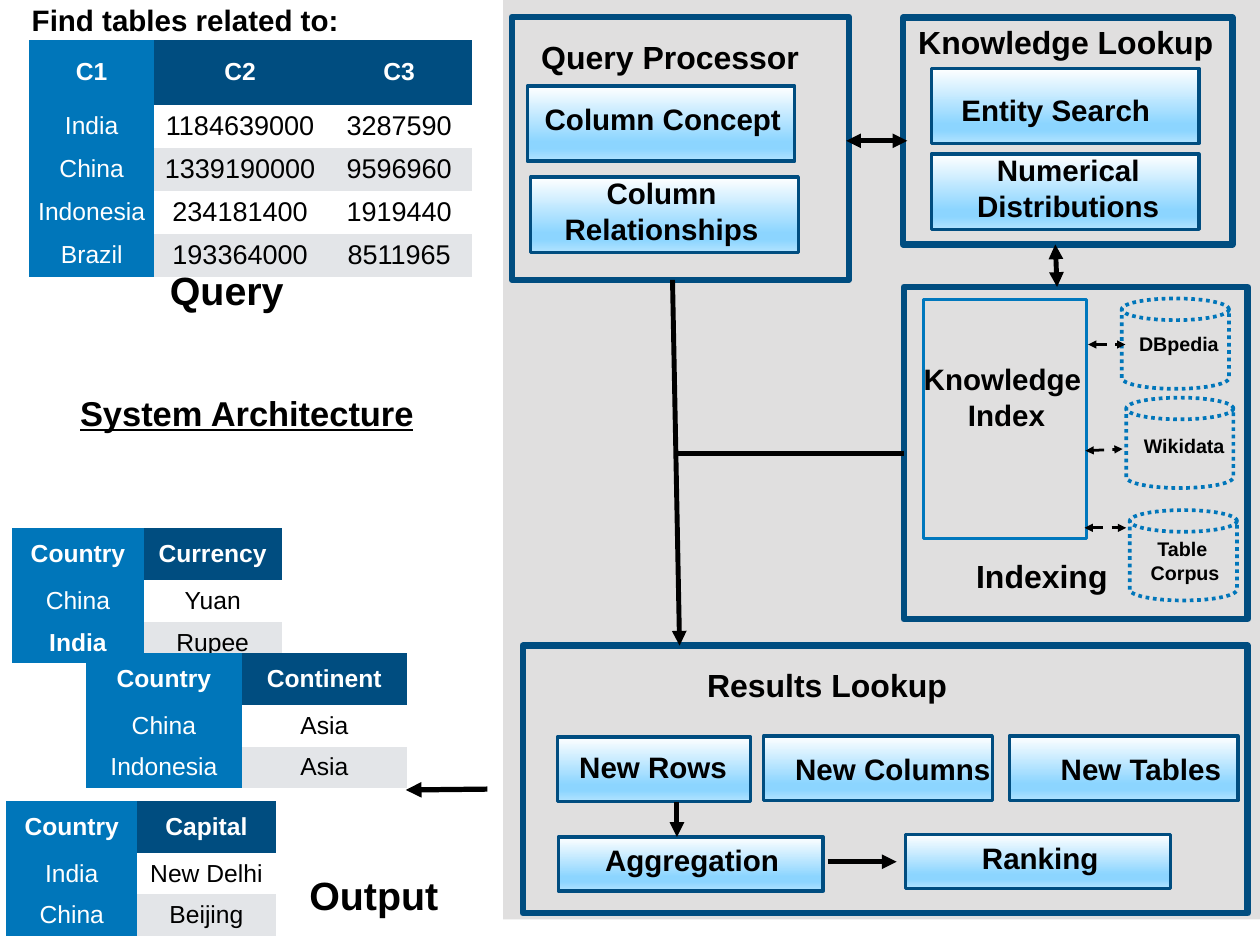
from copy import deepcopy
from typing import NamedTuple

from lxml.etree import SubElement
from pptx import Presentation
from pptx.dml.color import RGBColor
from pptx.enum.dml import MSO_LINE
from pptx.enum.shapes import MSO_CONNECTOR, MSO_SHAPE
from pptx.enum.text import MSO_ANCHOR as Anchor, PP_ALIGN as Align
from pptx.oxml.ns import qn
from pptx.util import Inches, Pt

NAVY, BLUE, INDEX_BLUE = "004D80", "0076BA", "0078BD"
BLACK, WHITE, BAND, PANEL = "000000", "FFFFFF", "E3E5E8", "D6D5D5"
STEP_GRADIENT = [(0, WHITE), (0.74, "8CD5FF"), (0.83, "8CD5FF"), (1, "B2E3FF")]
NO_TABLE_STYLE = "{2D5ABB26-0587-4C30-8999-92F81FD0307C}"


class Area(NamedTuple):
    left: float
    top: float
    width: float
    height: float


class Label(NamedTuple):
    text: str
    area: Area
    size: int = 24
    underline: bool = False
    wrap: bool = True
    inset: float = 0.06


class Arrow(NamedTuple):
    start: tuple[float, float]
    end: tuple[float, float]
    width: float = 4
    heads: tuple[str, ...] = ("tailEnd",)
    dashed: bool = False


class Grid(NamedTuple):
    left: float
    top: float
    columns: list[float]
    header_height: float
    row_height: float
    rows: list[list[str]]
    value_size: int = 20
    bold_key: str = ""


GROUP_FRAMES = [
    Area(5.78, 0.19, 3.8, 2.97),
    Area(10.19, 0.2, 3.72, 2.56),
    Area(10.2, 3.24, 3.88, 3.75),
    Area(5.9, 7.29, 8.18, 3.02),
]
KNOWLEDGE_INDEX = Area(10.42, 3.38, 1.84, 2.7)
STEPS = [
    Area(5.95, 0.97, 3.02, 0.85),
    Area(5.99, 2, 3.02, 0.85),
    Area(10.51, 0.77, 3.02, 0.85),
    Area(10.51, 1.74, 3.02, 0.85),
    Area(6.29, 8.32, 2.18, 0.73),
    Area(8.62, 8.31, 2.58, 0.73),
    Area(11.39, 8.31, 2.58, 0.73),
    Area(6.3, 9.45, 2.99, 0.61),
    Area(10.22, 9.42, 2.99, 0.61),
]
STORES = [Area(12.66, 3.37, 1.21, 1.02), Area(12.71, 4.49, 1.21, 1.02),
          Area(12.75, 5.76, 1.21, 1.02)]
LABELS = [
    Label("Find tables related to:", Area(0.29, -0.04, 3.6, 0.52), wrap=False),
    Label("Query", Area(0.94, 2.95, 3.24, 0.65), 32),
    Label("System Architecture", Area(0.58, 4.37, 4.41, 0.58), 28, underline=True),
    Label("Output", Area(2.99, 9.78, 2.46, 0.65), 32),
    Label("Query Processor", Area(5.67, 0.36, 3.79, 0.55), 26),
    Label("Column Concept", Area(6.04, 1.08, 2.88, 0.52)),
    Label("Column Relationships", Area(6.12, 1.92, 2.69, 0.92)),
    Label("Knowledge Lookup", Area(10.3, 0.2, 3.46, 0.55), 26),
    Label("Entity Search", Area(10.61, 0.98, 2.61, 0.52)),
    Label("Numerical Distributions", Area(10.75, 1.66, 2.61, 0.92)),
    Label("Indexing", Area(10.16, 6.22, 3.2, 0.55), 26),
    Label("Knowledge \nIndex", Area(10.33, 4.02, 2.06, 0.92)),
    Label("DBpedia", Area(12.75, 3.7, 1.11, 0.37), 16),
    Label("Wikidata", Area(12.8, 4.85, 1.13, 0.37), 16),
    Label("Table \nCorpus", Area(12.75, 6.01, 1.25, 0.64), 16),
    Label("Results Lookup", Area(7.54, 7.46, 3.59, 0.55), 26),
    Label("New Rows", Area(6.28, 8.4, 2.18, 0.52)),
    Label("New Columns", Area(8.87, 8.42, 2.41, 0.52)),
    Label("New Tables", Area(11.67, 8.42, 2.41, 0.52)),
    Label("Aggregation", Area(6.28, 9.45, 3.06, 0.52)),
    Label("Ranking", Area(10.21, 9.42, 3.06, 0.52)),
]
BOTH = ("headEnd", "tailEnd")
ARROWS = [
    Arrow((12.28, 3.89), (12.7, 3.89), 2.25, BOTH, dashed=True),
    Arrow((12.25, 5.09), (12.67, 5.07), 2.25, BOTH, dashed=True),
    Arrow((12.24, 5.96), (12.71, 5.96), 2.25, BOTH, dashed=True),
    Arrow((9.55, 1.59), (10.24, 1.59), heads=BOTH),
    Arrow((11.93, 3.24), (11.91, 2.76), heads=BOTH),
    Arrow((7.59, 3.16), (7.67, 7.29)),
    Arrow((7.63, 5.12), (10.2, 5.12), heads=()),
    Arrow((7.64, 9.05), (7.64, 9.45)),
    Arrow((9.34, 9.73), (10.12, 9.73)),
    Arrow((5.5, 8.91), (4.58, 8.92), 4.25),
]
GRIDS = [
    Grid(0.33, 0.45, [1.41, 1.94, 1.65], 0.73, 0.41,
         [["C1", "C2", "C3"], ["India", "1184639000", "3287590"],
          ["China", "1339190000", "9596960"], ["Indonesia", "234181400", "1919440"],
          ["Brazil", "193364000", "8511965"]], value_size=22),
    Grid(0.14, 5.96, [1.48, 1.56], 0.59, 0.47,
         [["Country", "Currency"], ["China", "Yuan"], ["India", "Rupee"]],
         bold_key="India"),
    Grid(0.97, 7.37, [1.76, 1.86], 0.59, 0.47,
         [["Country", "Continent"], ["China", "Asia"], ["Indonesia", "Asia"]]),
    Grid(0.07, 9.04, [1.48, 1.56], 0.59, 0.47,
         [["Country", "Capital"], ["India", "New Delhi"], ["China", "Beijing"]]),
]


def rgb(color: str) -> RGBColor:
    return RGBColor.from_string(color)


def add_run(paragraph, text: str, size: int, color: str, bold: bool):
    paragraph.alignment = Align.CENTER
    run = paragraph.add_run()
    run.text = text
    run.font.name, run.font.size, run.font.bold = "Arial", Pt(size), bold
    run.font.color.rgb = rgb(color)
    return run


def set_insets(holder, inset: float) -> None:
    """Give a text frame or a table cell the same margin on each side."""
    holder.margin_left = holder.margin_right = Inches(inset)
    holder.margin_top = holder.margin_bottom = Inches(inset)
    holder.vertical_anchor = Anchor.MIDDLE


def add_outline(slide, area: Area, color: str, width: float, kind=MSO_SHAPE.RECTANGLE):
    outline = slide.shapes.add_shape(kind, *map(Inches, area))
    outline.shadow.inherit = False
    outline.fill.background()
    outline.line.color.rgb = rgb(color)
    outline.line.width = Pt(width)
    return outline


def add_panel(slide, area: Area) -> None:
    panel = add_outline(slide, area, PANEL, 1)
    panel.line.fill.background()
    panel.fill.solid()
    panel.fill.fore_color.rgb = rgb(PANEL)
    tint = panel.fill._xPr.find(".//" + qn("a:srgbClr"))
    SubElement(tint, qn("a:alpha"), val="74000")


def add_step(slide, area: Area) -> None:
    step = add_outline(slide, area, NAVY, 2.75)
    step.fill.gradient()
    step.fill.gradient_angle = 270
    stop_list = step._element.spPr.find(".//" + qn("a:gsLst"))
    while len(stop_list) < len(STEP_GRADIENT):
        stop_list.append(deepcopy(stop_list[0]))
    for stop, (position, color) in zip(step.fill.gradient_stops, STEP_GRADIENT):
        stop.position = position
        stop.color.rgb = rgb(color)


def add_store(slide, area: Area) -> None:
    store = add_outline(slide, area, BLUE, 3, MSO_SHAPE.CAN)
    store.adjustments[0] = 0.24
    store.line.dash_style = MSO_LINE.ROUND_DOT


def add_label(slide, label: Label) -> None:
    frame = slide.shapes.add_textbox(*map(Inches, label.area)).text_frame
    frame.word_wrap = label.wrap
    set_insets(frame, label.inset)
    for number, line in enumerate(label.text.split("\n")):
        paragraph = frame.add_paragraph() if number else frame.paragraphs[0]
        run = add_run(paragraph, line, label.size, BLACK, True)
        run.font.underline = label.underline


def add_arrow(slide, arrow: Arrow) -> None:
    link = slide.shapes.add_connector(
        MSO_CONNECTOR.STRAIGHT, *map(Inches, arrow.start + arrow.end))
    link.line.color.rgb = rgb(BLACK)
    link.line.width = Pt(arrow.width)
    if arrow.dashed:
        link.line.dash_style = MSO_LINE.DASH
    for head in arrow.heads:
        SubElement(link.line._get_or_add_ln(), qn("a:" + head), type="triangle")
    SubElement(link._element.spPr, qn("a:effectLst"))


def add_grid(slide, grid: Grid) -> None:
    heights = [grid.header_height] + [grid.row_height] * (len(grid.rows) - 1)
    area = Area(grid.left, grid.top, sum(grid.columns), sum(heights))
    table = slide.shapes.add_table(
        len(heights), len(grid.columns), *map(Inches, area)).table
    table._tbl.tblPr.find(qn("a:tableStyleId")).text = NO_TABLE_STYLE
    for column, width in zip(table.columns, grid.columns):
        column.width = Inches(width)
    for r, (height, values) in enumerate(zip(heights, grid.rows)):
        table.rows[r].height = Inches(height)
        for c, value in enumerate(values):
            is_value = r > 0 and c > 0
            cell = table.cell(r, c)
            set_insets(cell, 0.06)
            cell.fill.solid()
            band = WHITE if r % 2 else BAND
            cell.fill.fore_color.rgb = rgb(band if is_value else NAVY if c else BLUE)
            add_run(cell.text_frame.paragraphs[0], value,
                    grid.value_size if is_value else 20,
                    BLACK if is_value else WHITE, r == 0 or value == grid.bold_key)


def main() -> None:
    deck = Presentation()
    deck.slide_width, deck.slide_height = Inches(14.22), Inches(10.67)
    slide = deck.slides.add_slide(deck.slide_layouts[6])
    add_panel(slide, Area(5.68, 0, 8.54, 10.38))
    for frame in GROUP_FRAMES:
        add_outline(slide, frame, NAVY, 5.25)
    add_outline(slide, KNOWLEDGE_INDEX, INDEX_BLUE, 2.75)
    for draw, items in [(add_step, STEPS), (add_store, STORES), (add_label, LABELS),
                        (add_arrow, ARROWS), (add_grid, GRIDS)]:
        for item in items:
            draw(slide, item)
    deck.save("out.pptx")


if __name__ == "__main__":
    main()
